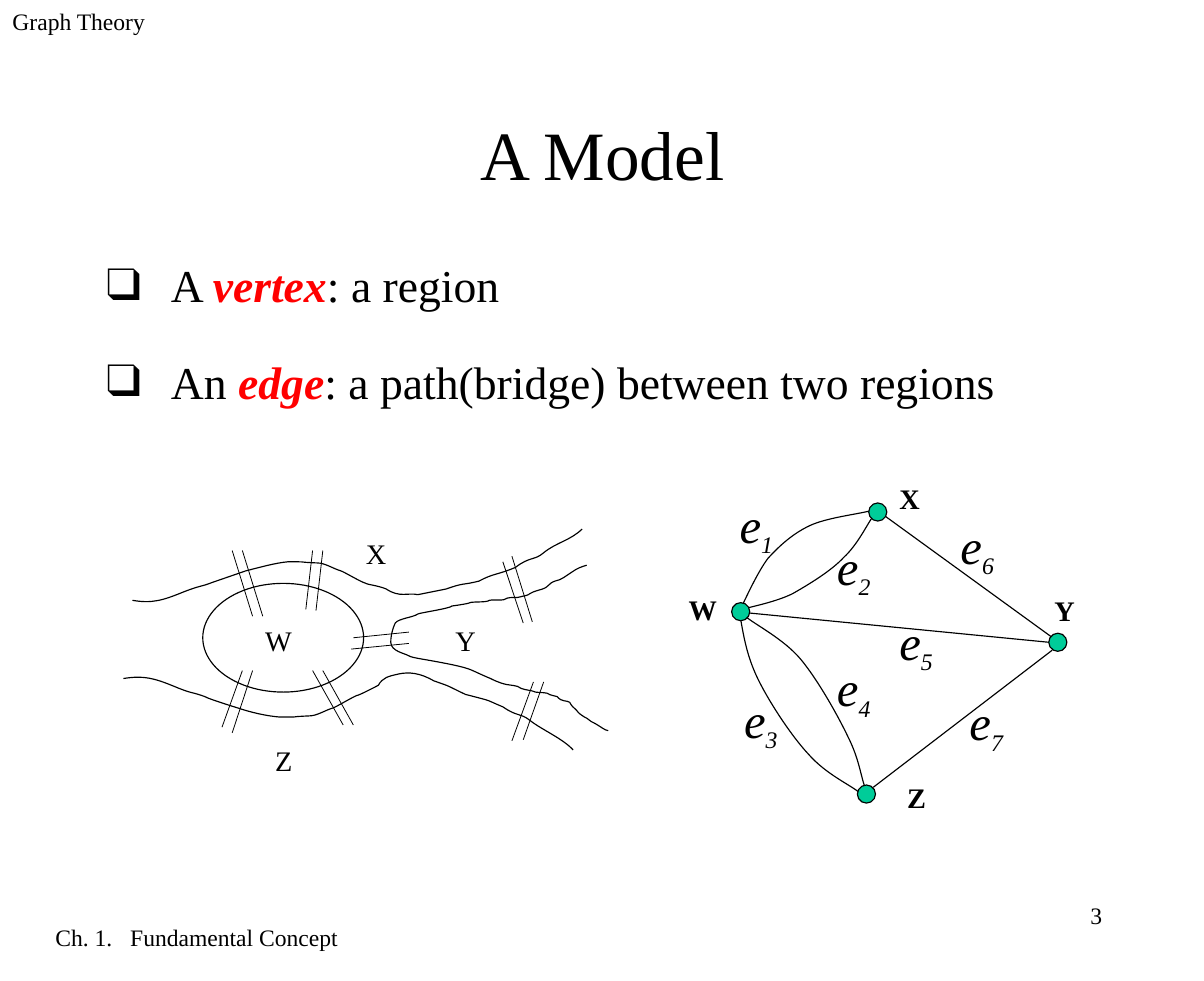
from dataclasses import dataclass

from lxml import etree
from pptx import Presentation
from pptx.dml.color import RGBColor
from pptx.enum.shapes import MSO_CONNECTOR, MSO_SHAPE
from pptx.enum.text import MSO_ANCHOR, PP_ALIGN
from pptx.oxml.ns import qn
from pptx.util import Emu, Pt

LEFT, CENTER, RIGHT = PP_ALIGN.LEFT, PP_ALIGN.CENTER, PP_ALIGN.RIGHT
TOP, MIDDLE = MSO_ANCHOR.TOP, MSO_ANCHOR.MIDDLE
OVAL, STRAIGHT = MSO_SHAPE.OVAL, MSO_CONNECTOR.STRAIGHT
EMU_PER_PX = 9144


@dataclass(frozen=True)
class Theme:
    font: str = "Times New Roman"
    ink: str = "000000"
    accent: str = "FF0000"
    vertex: str = "00CC99"
    title: int = 44
    body: int = 29
    note: int = 15
    edge: int = 31
    subscript: int = 26
    label: int = 18
    line: float = 0.75
    bridge: float = 0.5


THEME = Theme()

NORTH_BANK = [
    17, 130, 34, 133, 44, 130, 61, 123, 79, 116, 75, 119, 88, 114, 91, 113, 117, 104, 117, 104,
    129, 101, 143, 97, 154, 96, 177, 96, 157, 96, 180, 97, 187, 97, 194, 102, 201, 104,
    204, 105, 219, 114, 223, 115, 224, 116, 234, 117, 241, 120, 253, 128, 260, 123, 269, 125,
    281, 122, 281, 123, 294, 120, 311, 114, 307, 117, 323, 113, 336, 106, 338, 108, 355, 101,
    368, 91, 372, 95, 380, 88, 391, 79, 404, 77, 414, 67]
SOUTH_BANK = [
    9, 199, 27, 196, 37, 199, 54, 206, 71, 213, 67, 210, 81, 215, 84, 217, 110, 225, 110, 225,
    122, 229, 135, 232, 147, 233, 170, 233, 150, 233, 173, 232, 180, 232, 187, 227, 194, 225,
    197, 224, 212, 215, 215, 214, 217, 214, 234, 205, 234, 205, 238, 198, 243, 197, 252, 195,
    261, 193, 271, 194, 283, 201, 300, 207, 292, 204, 311, 213, 338, 220, 327, 217, 344, 224,
    357, 233, 359, 229, 368, 236, 378, 244, 397, 252, 406, 262]
EAST_BANK = [
    418, 99, 414, 100, 409, 102, 405, 105, 400, 108, 396, 112, 390, 113, 384, 115, 385, 118, 379, 120,
    376, 121, 371, 122, 368, 124, 366, 126, 362, 126, 359, 127, 357, 128, 351, 127, 348, 128,
    345, 131, 336, 129, 332, 130, 330, 132, 318, 131, 315, 132, 314, 133, 299, 135, 299, 135,
    298, 137, 271, 141, 269, 142, 265, 145, 252, 146, 249, 150, 248, 152, 245, 159, 245, 167,
    245, 175, 258, 177, 261, 179, 264, 181, 276, 182, 300, 187, 318, 191, 314, 191, 333, 199,
    347, 206, 350, 204, 357, 206, 361, 209, 366, 209, 370, 210, 373, 212, 380, 211, 383, 212,
    386, 214, 389, 214, 392, 215, 396, 220, 400, 218, 403, 220, 405, 224, 406, 224, 409, 227,
    411, 230, 413, 231, 416, 233, 419, 234, 421, 237, 424, 238, 430, 241, 434, 245, 437, 245]
BRIDGE_SIDES = [
    (105, 86, 123, 144), (114, 86, 132, 144), (176, 86, 170, 138), (185, 86, 179, 139),
    (212, 163, 261, 158), (210, 173, 261, 168), (344, 96, 362, 150), (352, 91, 370, 149),
    (371, 202, 352, 254), (380, 202, 362, 253), (176, 192, 203, 240), (185, 192, 212, 240),
    (114, 192, 96, 242), (123, 192, 105, 247)]
REGIONS = [("X", 212, 67), ("Y", 291, 144), ("Z", 132, 250), ("W", 123, 144)]

CURVED_EDGES = [
    [56, 133, 59, 127, 69, 105, 78, 93, 88, 82, 100, 71, 115, 64, 130, 57, 157, 54, 168, 51],
    [59, 137, 66, 135, 86, 131, 100, 124, 114, 116, 134, 104, 145, 92, 157, 81, 165, 64, 170, 57],
    [54, 147, 57, 164, 60, 181, 70, 201, 80, 221, 99, 250, 114, 266, 129, 283, 149, 292, 158, 299],
    [58, 144, 66, 151, 92, 164, 107, 182, 122, 200, 140, 232, 149, 251, 158, 269, 160, 284, 163, 293]]
STRAIGHT_EDGES = [(60, 141, 326, 167), (182, 56, 328, 162), (171, 295, 329, 174)]
EDGE_LABELS = [(42, 31), (128, 68), (46, 203), (128, 175), (183, 134), (237, 49), (245, 205)]
VERTICES = [("X", 175, 52, 183, 19), ("W", 54, 140, -3, 117),
            ("Y", 334, 167, 320, 118), ("Z", 165, 301, 190, 283)]


def px(n):
    return Emu(round(n * EMU_PER_PX))


def color(value):
    return RGBColor.from_string(value)


def add_text(s, x, y, w, h, paragraphs, size=THEME.label, bold=False, italic=False,
             align=LEFT, anchor=TOP, bullet=None, tab=None, spacing=None, gap=0):
    tf = s.shapes.add_textbox(px(x), px(y), px(w), px(h)).text_frame
    tf.word_wrap = True
    tf.vertical_anchor = anchor
    tf.margin_left = tf.margin_right = px(11)
    tf.margin_top = tf.margin_bottom = px(6)
    for i, runs in enumerate(paragraphs):
        p = tf.paragraphs[0] if i == 0 else tf.add_paragraph()
        p.alignment = align
        if spacing:
            p.line_spacing = spacing
        if i:
            p.space_before = Pt(gap)
        pPr = p._p.get_or_add_pPr()
        if bullet:
            pPr.set("marL", str(px(57)))
            pPr.set("indent", str(-px(57)))
            fill = etree.SubElement(pPr, qn("a:buClr"))
            etree.SubElement(fill, qn("a:srgbClr"), val=THEME.ink)
            etree.SubElement(pPr, qn("a:buFont"), typeface=THEME.font)
            etree.SubElement(pPr, qn("a:buChar"), char=bullet)
        if tab:
            tabs = etree.SubElement(pPr, qn("a:tabLst"))
            etree.SubElement(tabs, qn("a:tab"), pos=str(px(tab)), algn="l")
        for text, fmt in runs:
            r = p.add_run()
            r.text = text
            r.font.name = THEME.font
            r.font.size = Pt(fmt.get("size", size))
            r.font.bold = fmt.get("bold", bold)
            r.font.italic = fmt.get("italic", italic)
            r.font.color.rgb = color(fmt.get("ink", THEME.ink))
            if "baseline" in fmt:
                r._r.get_or_add_rPr().set("baseline", str(fmt["baseline"]))


def style_line(shape, width):
    shape.line.color.rgb = color(THEME.ink)
    shape.line.width = Pt(width)


def add_oval(s, x, y, w, h, fill=None):
    sp = s.shapes.add_shape(OVAL, px(x), px(y), px(w), px(h))
    sp.shadow.inherit = False
    style_line(sp, THEME.line)
    if fill:
        sp.fill.solid()
        sp.fill.fore_color.rgb = color(fill)
    else:
        sp.fill.background()


def add_line(s, x, y, ends, width):
    x1, y1, x2, y2 = ends
    line = s.shapes.add_connector(STRAIGHT, px(x + x1), px(y + y1), px(x + x2), px(y + y2))
    style_line(line, width)
    etree.SubElement(line._element.spPr, qn("a:effectLst"))


def add_curve(s, x, y, coords):
    points = [(px(x + a), px(y + b)) for a, b in zip(coords[::2], coords[1::2])]
    builder = s.shapes.build_freeform(*points[0])
    builder.add_line_segments(points[1:], close=False)
    sp = builder.convert_to_shape()
    segments = list(sp._element.iter(qn("a:lnTo")))
    for first, second, end in zip(segments[::3], segments[1::3], segments[2::3]):
        first.tag = qn("a:cubicBezTo")
        for segment in (second, end):
            first.append(segment[0])
            segment.getparent().remove(segment)
    sp.shadow.inherit = False
    sp.fill.background()
    style_line(sp, THEME.line)


def add_header_footer(s, x, y, w, h):
    add_text(s, x, y, 222, 58, [[("Graph Theory", {})]], size=THEME.note)
    add_text(s, x + 38, y + h - 57, 309, 57, [[("Ch. 1.\tFundamental Concept", {})]],
             size=THEME.note, tab=66)
    add_text(s, x + w - 301, y + h - 77, 222, 58, [[("3", {})]], size=THEME.note, align=RIGHT)


def add_title(s, x, y, w, h):
    add_text(s, x, y, w, h, [[("A Model", {})]], size=THEME.title, align=CENTER, anchor=MIDDLE)


def add_definitions(s, x, y, w, h):
    term = dict(ink=THEME.accent, bold=True, italic=True)
    add_text(s, x, y, w, h, [
        [("A ", {}), ("vertex", term), (": a region", {})],
        [("An ", {}), ("edge", term), (": a path(bridge) between two regions", {})],
    ], size=THEME.body, bullet="❑", spacing=1.25, gap=18.1)


def add_river_map(s, x, y):
    add_oval(s, x + 79, y + 115, 142, 96)
    for bank in (NORTH_BANK, SOUTH_BANK, EAST_BANK):
        add_curve(s, x, y, bank)
    for side in BRIDGE_SIDES:
        add_line(s, x, y, side, THEME.bridge)
    for name, dx, dy in REGIONS:
        add_text(s, x + dx, y + dy, 62, 41, [[(name, {})]])


def add_graph(s, x, y):
    for edge in CURVED_EDGES:
        add_curve(s, x, y, edge)
    for edge in STRAIGHT_EDGES:
        add_line(s, x, y, edge, THEME.line)
    for name, cx, cy, dx, dy in VERTICES:
        add_oval(s, x + cx - 8, y + cy - 8, 16, 16, THEME.vertex)
        add_text(s, x + dx, y + dy, 62, 41, [[(name, {})]], bold=True)
    subscript = dict(size=THEME.subscript, baseline=-25000)
    for number, (dx, dy) in enumerate(EDGE_LABELS, 1):
        add_text(s, x + dx, y + dy, 76, 67, [[("e", {}), (str(number), subscript)]],
                 size=THEME.edge, italic=True)


def main():
    prs = Presentation()
    prs.slide_width, prs.slide_height = px(1063), px(866)
    s = prs.slides.add_slide(prs.slide_layouts[6])
    add_header_footer(s, 0, 0, 1063, 866)
    add_title(s, 80, 77, 904, 115)
    add_definitions(s, 83, 209, 904, 183)
    add_river_map(s, 100, 400)
    add_graph(s, 600, 400)
    prs.save("out.pptx")


if __name__ == "__main__":
    main()
